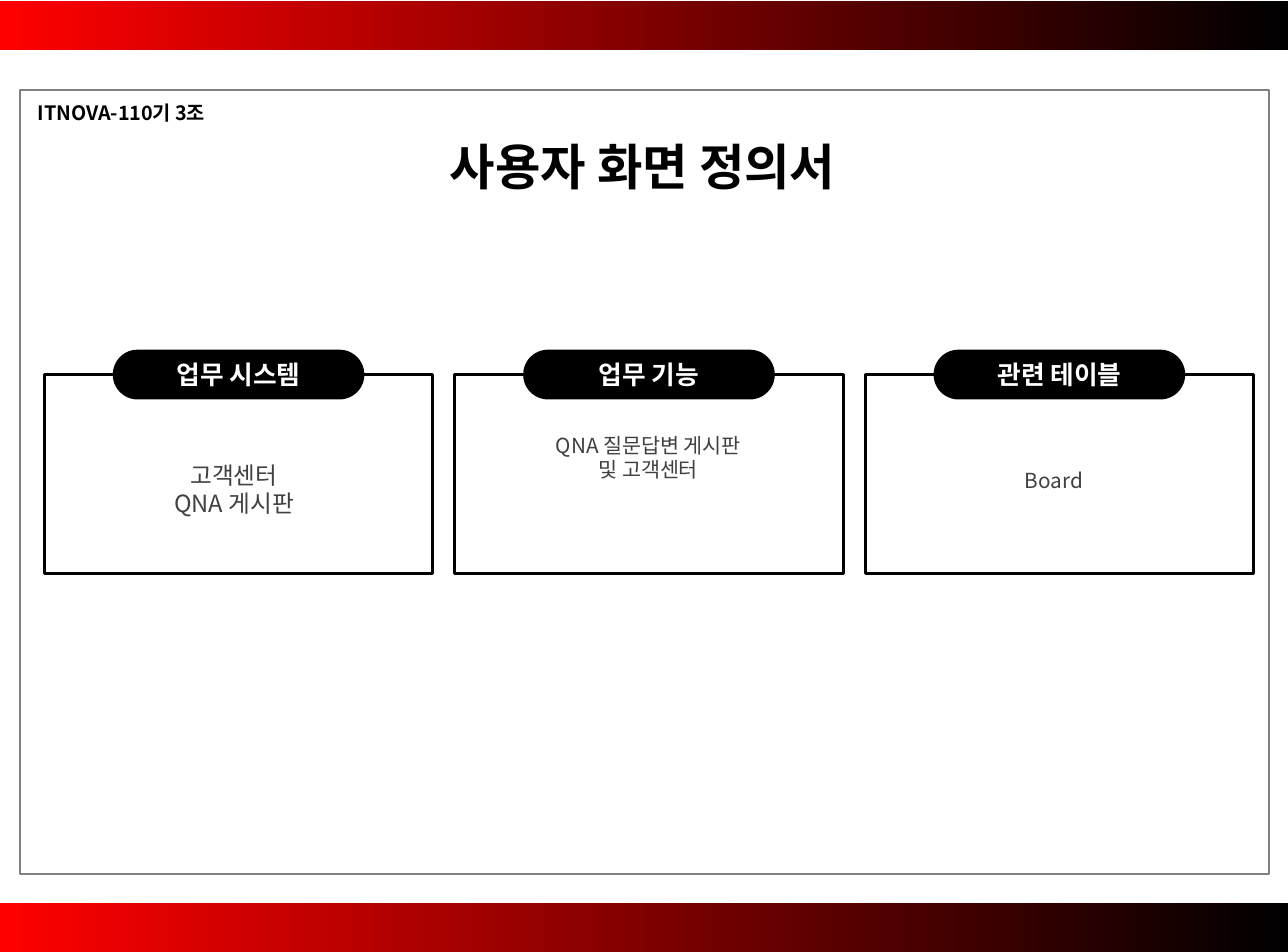
from lxml import etree
from pptx import Presentation
from pptx import util as u
from pptx.dml.color import RGBColor
from pptx.enum import shapes, text
from pptx.oxml import ns

Pt = u.Pt
FONT = "Noto Sans CJK KR"
COLORS = {"black": "000000", "white": "FFFFFF", "red": "FF0000",
          "gray": "808080", "body": "404040"}
PAGE_WIDTH, PAGE_HEIGHT = 651.97, 481.89
BAND_HEIGHT = 24.9


def add_box(kind, left, top, width, height, fill=None, line=None, weight=1):
    """Add a preset shape with an optional solid fill and outline."""
    box = page.shapes.add_shape(kind, Pt(left), Pt(top), Pt(width), Pt(height))
    box.shadow.inherit = False
    if fill:
        box.fill.solid()
        box.fill.fore_color.rgb = RGBColor.from_string(COLORS[fill])
    else:
        box.fill.background()
    if line:
        box.line.color.rgb = RGBColor.from_string(COLORS[line])
        box.line.width = Pt(weight)
    else:
        box.line.fill.background()
    return box


def write(box, lines, size, color, bold=False, centered=True, inset=(6.5, 3)):
    """Fill a box with one paragraph per line."""
    frame = box.text_frame
    frame.word_wrap = True
    frame.margin_left = frame.margin_right = Pt(inset[0])
    frame.margin_top = frame.margin_bottom = Pt(inset[1])
    for index, line in enumerate(lines):
        para = frame.add_paragraph() if index else frame.paragraphs[0]
        para.alignment = text.PP_ALIGN.CENTER if centered else text.PP_ALIGN.LEFT
        span = para.add_run()
        span.text = line
        span.font.size = Pt(size)
        span.font.bold = bold
        span.font.name = FONT
        span.font.color.rgb = RGBColor.from_string(COLORS[color])
        # Korean letters take the East Asian font
        east_asian = etree.SubElement(span.font._element, ns.qn("a:ea"))
        east_asian.set("typeface", FONT)


deck = Presentation()
deck.slide_width, deck.slide_height = Pt(PAGE_WIDTH), Pt(PAGE_HEIGHT)
page = deck.slides.add_slide(deck.slide_layouts[6])

# Title
title = page.shapes.add_textbox(Pt(156.4), Pt(65.8), Pt(337.7), Pt(36.7))
write(title, ["사용자 화면 정의서"], 25, "black", bold=True)

# Three cards: heading, body lines, body size, body left, top and height
cards = [
    ("업무 시스템", ["고객센터", "QNA 게시판"], 12, 20.2, 229.7, 36),
    ("업무 기능", ["QNA 질문답변 게시판", "및 고객센터"], 10.5, 229.9, 215.3, 44.6),
    ("관련 테이블", ["Board"], 10.5, 435.2, 233.3, 19.4),
]
CARD_LEFT, CARD_TOP, CARD_WIDTH, CARD_HEIGHT = 22.5, 189.8, 196.6, 100.5
CARD_PITCH = 207.75
PILL_TOP, PILL_WIDTH, PILL_HEIGHT = 177, 127.4, 25.2

for column, (heading, lines, size, body_left, body_top, height) in enumerate(cards):
    left = CARD_LEFT + column * CARD_PITCH
    add_box(shapes.MSO_SHAPE.RECTANGLE, left, CARD_TOP, CARD_WIDTH, CARD_HEIGHT,
            line="black", weight=1.5)
    pill = add_box(shapes.MSO_SHAPE.ROUNDED_RECTANGLE,
                   left + (CARD_WIDTH - PILL_WIDTH) / 2, PILL_TOP,
                   PILL_WIDTH, PILL_HEIGHT, fill="black")
    pill.adjustments[0] = 0.5
    pill.text_frame.vertical_anchor = text.MSO_ANCHOR.MIDDLE
    write(pill, [heading], 13, "white", bold=True)
    body = page.shapes.add_textbox(Pt(body_left), Pt(body_top),
                                   Pt(CARD_WIDTH), Pt(height))
    write(body, lines, size, "body", inset=(7.2, 3.6))

# Gradient bands at the bottom and top
for top in (PAGE_HEIGHT - BAND_HEIGHT + 0.2, 0.3):
    band = add_box(shapes.MSO_SHAPE.RECTANGLE, 0, top, PAGE_WIDTH, BAND_HEIGHT)
    band.fill.gradient()
    band.fill.gradient_angle = 0
    for stop, color, position in zip(band.fill.gradient_stops, ("red", "black"), (0, 1)):
        stop.color.rgb = RGBColor.from_string(COLORS[color])
        stop.position = position

# Page frame and team label
add_box(shapes.MSO_SHAPE.RECTANGLE, 10.2, 45.5, 632, 397, line="gray")
team = page.shapes.add_textbox(Pt(12.7), Pt(47.8), Pt(290.2), Pt(18.7))
write(team, ["ITNOVA-110기 3조"], 10, "black", bold=True, centered=False)

deck.save("out.pptx")
